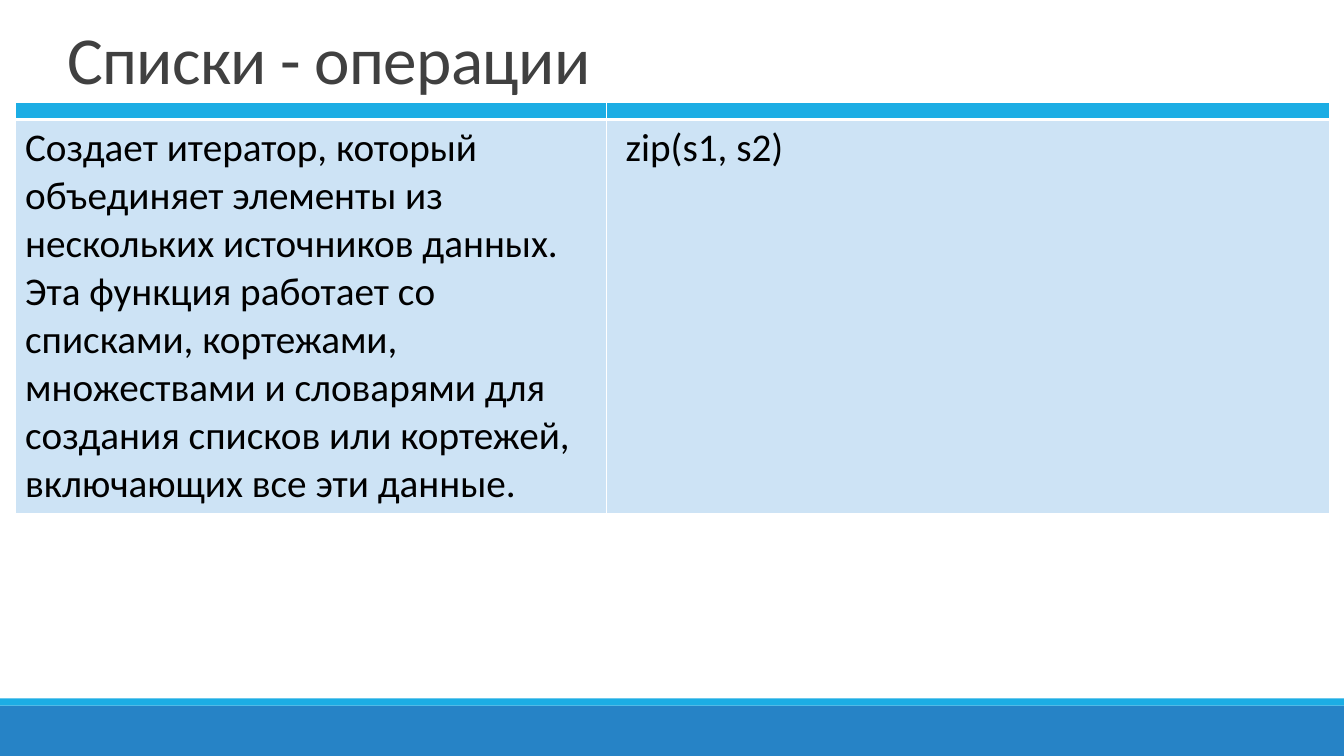
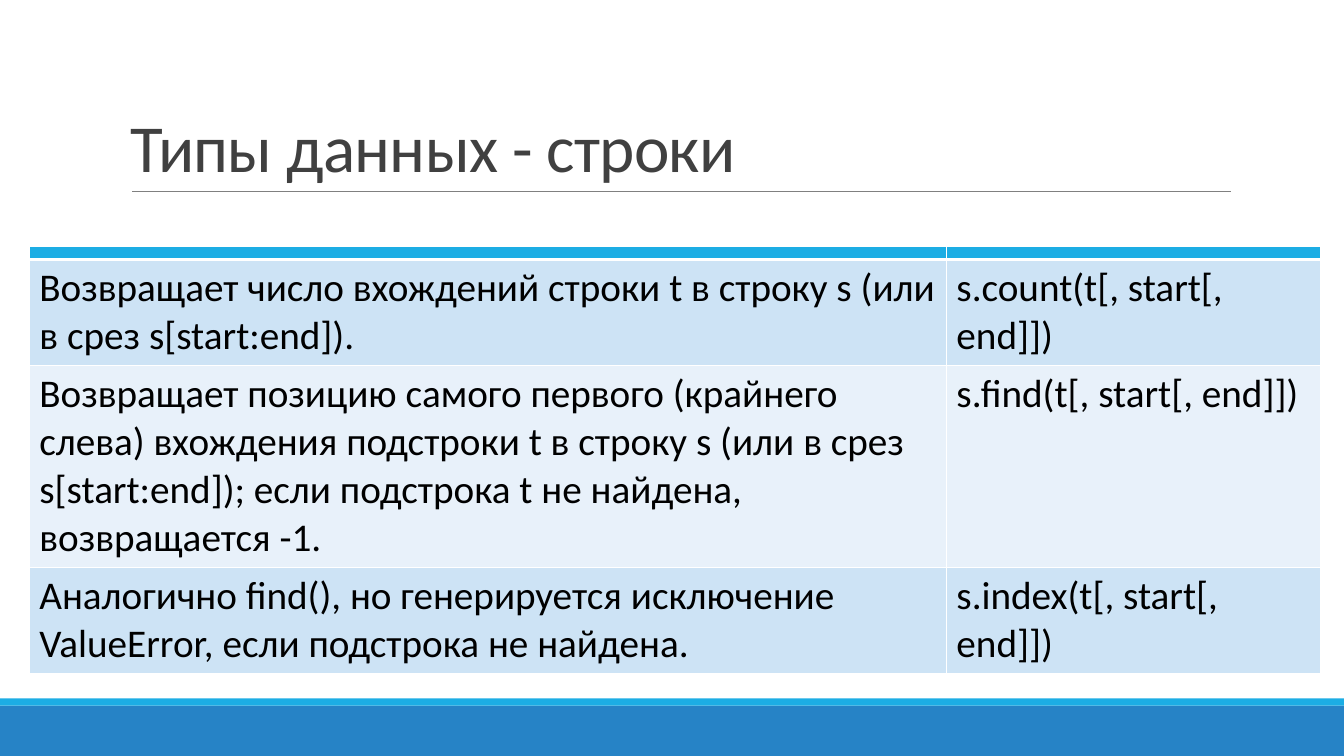
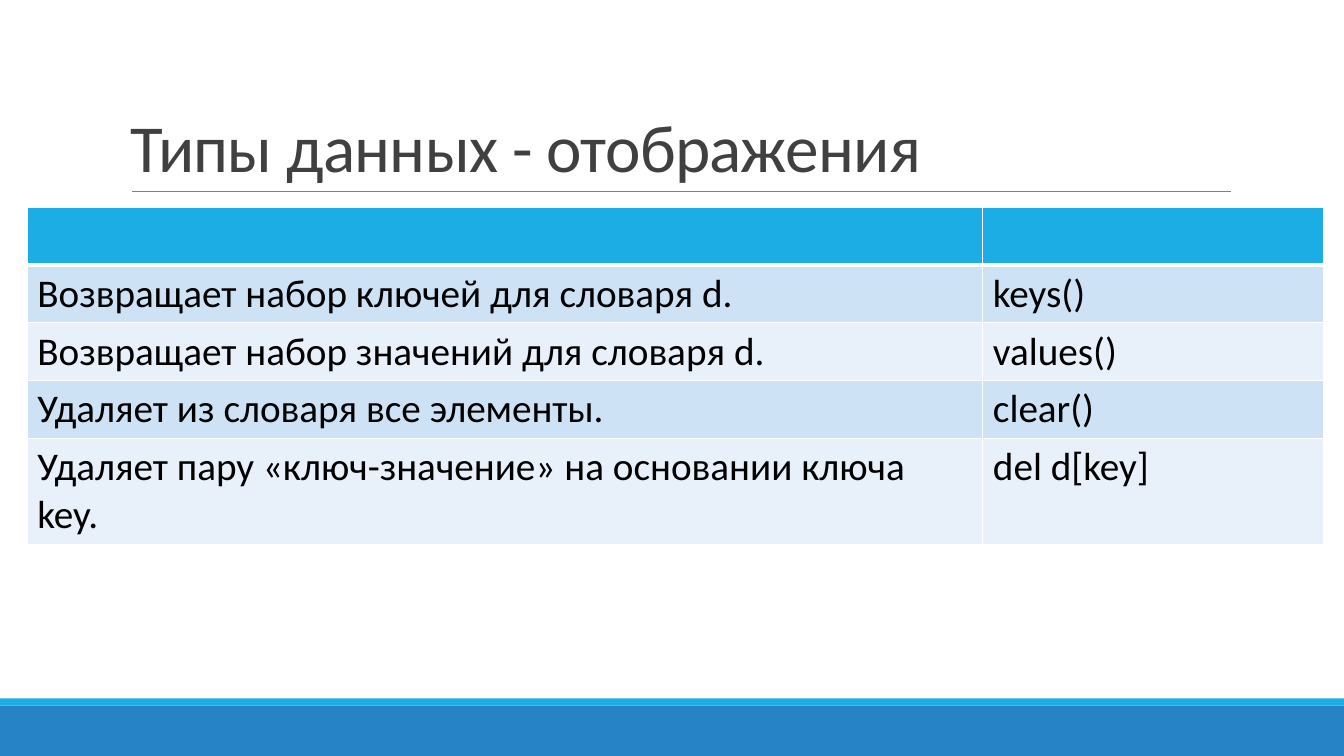
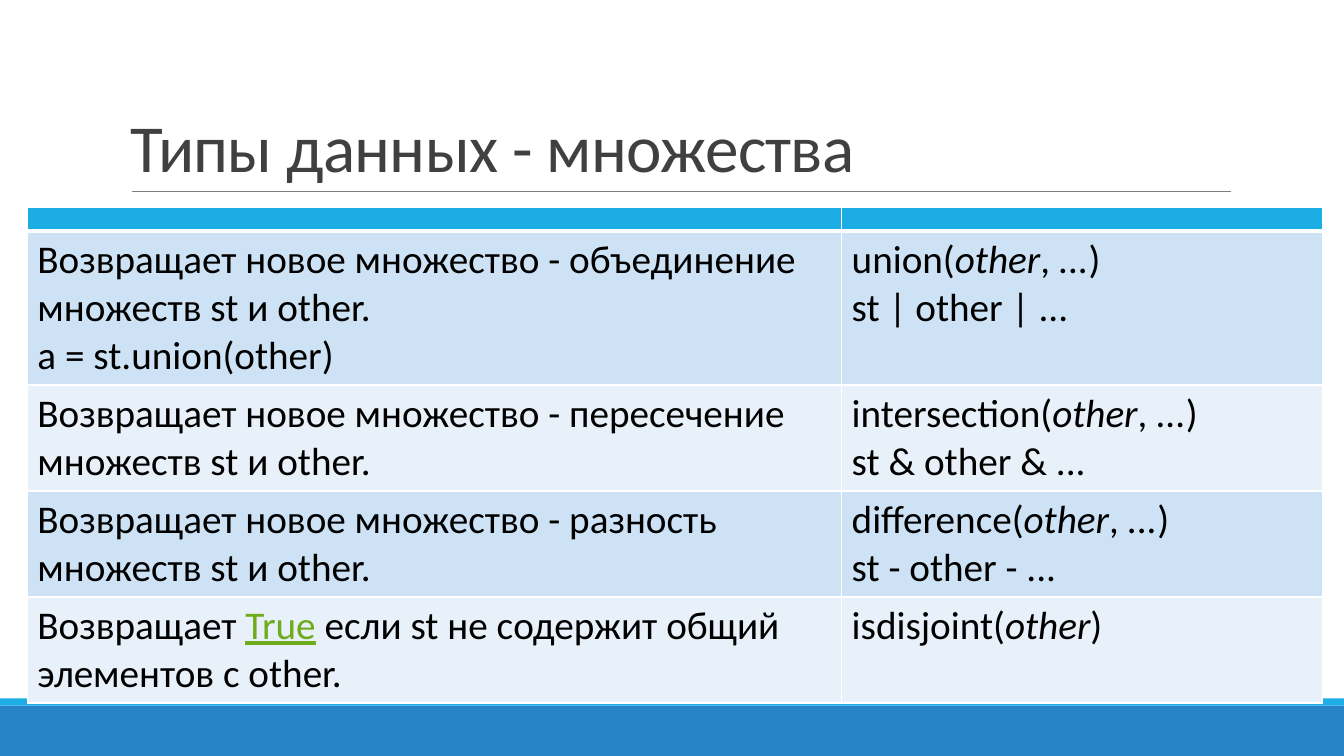
from lxml.etree import SubElement
from pptx import Presentation
from pptx.dml.color import RGBColor
from pptx.enum.shapes import MSO_CONNECTOR, MSO_SHAPE
from pptx.enum.text import MSO_ANCHOR
from pptx.oxml.ns import qn
from pptx.util import Cm, Pt

HUES = {
    "band": "2683C6", "head": "1CADE4", "rule": "808080", "title": "404040",
    "text": "000000", "odd": "CDE3F5", "even": "E8F1FA", "edge": "FFFFFF",
    "link": "6EAC1C",
}
FONT = "Calibri"
WIDE, HIGH = 33.87, 19.05
LINE, PAD = 1.21, 0.25

OTHER = ("other", {"italic": True})
DOTS = ("...", {"italic": True})
TRUE = ("True", {"hue": "link", "under": True})

HIGH_BOX = (1.45, 0.38, 29.08, 2.21)
LOW_BOX = (3.05, 0.79, 27.94, 4.04)


def hue(name):
    return RGBColor.from_string(HUES[name])


def write(para, text, size=28, hue_name="text", italic=False, under=False, gap=0):
    run = para.add_run()
    run.text = text
    font = run.font
    font.name, font.size = FONT, Pt(size)
    font.italic, font.underline = italic, under
    font.color.rgb = hue(hue_name)
    if gap:
        run._r.get_or_add_rPr().set("spc", str(gap))


def add_band(slide, top, tall, name):
    band = slide.shapes.add_shape(
        MSO_SHAPE.RECTANGLE, Cm(0), Cm(top), Cm(WIDE), Cm(tall))
    band.shadow.inherit = False
    band.fill.solid()
    band.fill.fore_color.rgb = hue(name)
    band.line.fill.background()


def add_rule(slide, left, right, top):
    rule = slide.shapes.add_connector(
        MSO_CONNECTOR.STRAIGHT, Cm(left), Cm(top), Cm(right), Cm(top))
    rule.line.color.rgb = hue("rule")
    rule.line.width = Pt(0.5)
    SubElement(rule._element.spPr, qn("a:effectLst"))


def add_title(slide, text, box):
    frame = slide.shapes.add_textbox(*map(Cm, box)).text_frame
    frame.word_wrap = True
    frame.vertical_anchor = MSO_ANCHOR.BOTTOM
    para = frame.paragraphs[0]
    para.line_spacing = 0.85
    write(para, text, size=48, hue_name="title", gap=-50)


def add_edges(cell, top, low):
    props = cell._tc.get_or_add_tcPr()
    for side, width in (("L", 1), ("R", 1), ("T", top), ("B", low)):
        edge = SubElement(props, qn(f"a:ln{side}"), w=str(Pt(width)))
        fill = SubElement(edge, qn("a:solidFill"))
        SubElement(fill, qn("a:srgbClr"), val=HUES["edge"])


def paint(cell, name, top=1, low=1):
    add_edges(cell, top, low)
    cell.fill.solid()
    cell.fill.fore_color.rgb = hue(name)


def fill_cell(cell, lines):
    frame = cell.text_frame
    for num, parts in enumerate(lines):
        para = frame.add_paragraph() if num else frame.paragraphs[0]
        for part in parts:
            text, form = (part, {}) if isinstance(part, str) else part
            form = dict(form)
            write(para, text, hue_name=form.pop("hue", "text"), **form)


def add_grid(slide, left, top, cols, head, rows):
    talls = [PAD + head * 0.042] + [PAD + LINE * row[0] for row in rows]
    shape = slide.shapes.add_table(
        len(talls), len(cols), Cm(left), Cm(top), Cm(sum(cols)), Cm(sum(talls)))
    grid = shape.table
    grid.first_row = grid.horz_banding = False
    for col, width in zip(grid.columns, cols):
        col.width = Cm(width)
    for row, tall in zip(grid.rows, talls):
        row.height = Cm(tall)
    for cell in grid.rows[0].cells:
        para = cell.text_frame.paragraphs[0]
        SubElement(para._p, qn("a:endParaRPr"), sz=str(head * 100))
        paint(cell, "head", low=3)
    for num, (_, *texts) in enumerate(rows, 1):
        for cell, lines in zip(grid.rows[num].cells, texts):
            fill_cell(cell, [[lines]] if isinstance(lines, str) else lines)
            paint(cell, "odd" if num % 2 else "even", top=3 if num == 1 else 1)


def add_page(deck, title, grid, box=LOW_BOX, ruled=True):
    slide = deck.slides.add_slide(deck.slide_layouts[6])
    add_band(slide, 17.78, 1.27, "band")
    add_band(slide, 17.6, 0.18, "head")
    if ruled:
        add_rule(slide, 3.33, 31.01, 4.82)
    add_title(slide, title, box)
    add_grid(slide, **grid)


def call(name):
    return [f"{name}(", OTHER, ", ", DOTS, ")"]


LISTS = [
    (8, "Создает итератор, который объединяет элементы из нескольких источников "
        "данных. Эта функция работает со списками, кортежами, множествами и "
        "словарями для создания списков или кортежей, включающих все эти данные.",
     " zip(s1, s2)"),
]
STRINGS = [
    (2, "Возвращает число вхождений строки t в строку s (или в срез s[start:end]).",
     "s.count(t[, start[, end]])"),
    (4, "Возвращает позицию самого первого (крайнего слева) вхождения подстроки t "
        "в строку s (или в срез s[start:end]); если подстрока t не найдена, "
        "возвращается -1.",
     "s.find(t[, start[, end]])"),
    (2, "Аналогично find(), но генерируется исключение ValueError, если подстрока "
        "не найдена.",
     "s.index(t[, start[, end]])"),
]
MAPS = [
    (1, "Возвращает набор ключей для словаря d.", "keys()"),
    (1, "Возвращает набор значений для словаря d.", "values()"),
    (1, "Удаляет из словаря все элементы.", "clear()"),
    (2, "Удаляет пару «ключ-значение» на основании ключа key.", "del d[key]"),
]
SETS = [
    (3, [["Возвращает новое множество - объединение множеств st и other."],
         ["a = st.union(other)"]],
     [call("union"), ["st | other | ..."]]),
    (2, "Возвращает новое множество - пересечение множеств st и other.",
     [call("intersection"), ["st & other & ..."]]),
    (2, "Возвращает новое множество - разность множеств st и other.",
     [call("difference"), ["st - other - ..."]]),
    (2, [["Возвращает ", TRUE, " если st не содержит общий элементов с other."]],
     [["isdisjoint(", OTHER, ")"]]),
]


def main():
    deck = Presentation()
    deck.slide_width, deck.slide_height = Cm(WIDE), Cm(HIGH)
    add_page(deck, "Списки - операции",
             dict(left=0.38, top=2.59, cols=(14.91, 18.21), head=4, rows=LISTS),
             box=HIGH_BOX, ruled=False)
    add_page(deck, "Типы данных - строки",
             dict(left=0.74, top=6.2, cols=(23.11, 9.42), head=2, rows=STRINGS))
    add_page(deck, "Типы данных - отображения",
             dict(left=0.69, top=5.23, cols=(24.08, 8.59), head=28, rows=MAPS))
    add_page(deck, "Типы данных - множества",
             dict(left=0.69, top=5.23, cols=(20.52, 12.12), head=8, rows=SETS))
    deck.save("out.pptx")


if __name__ == "__main__":
    main()
